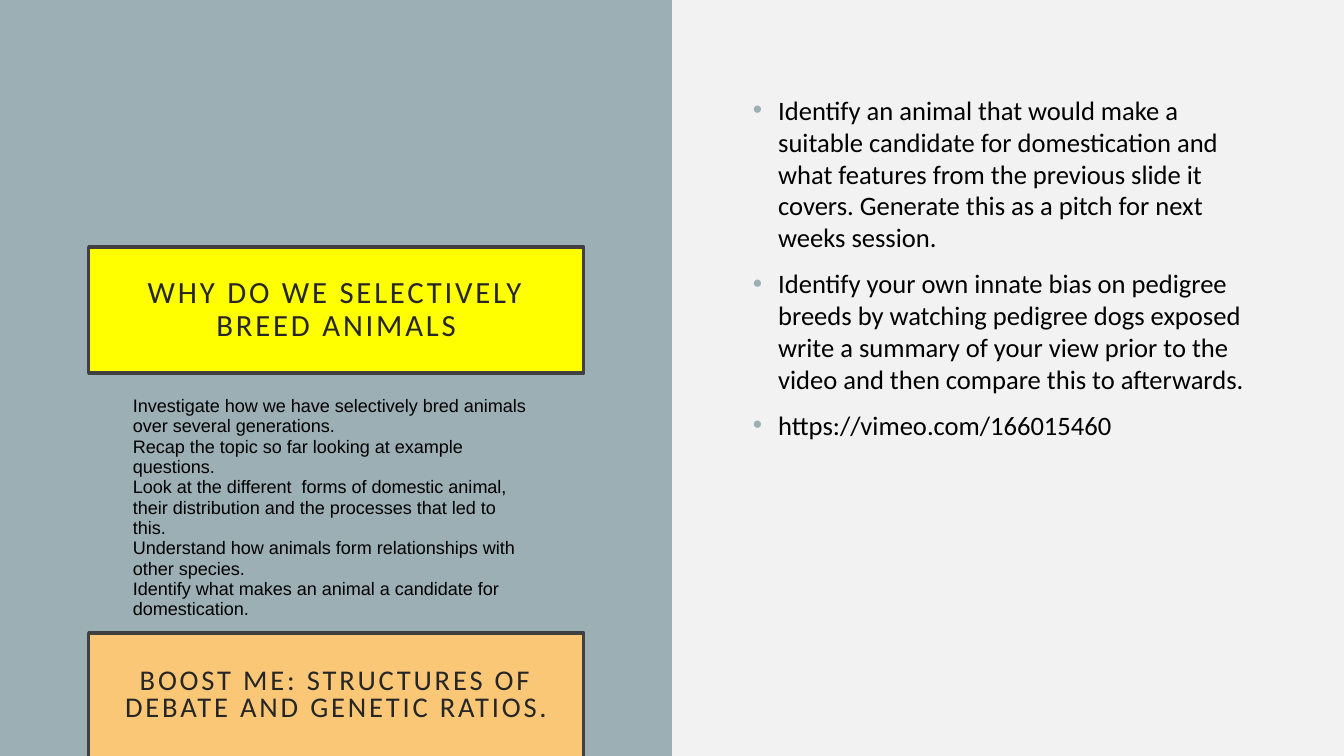
from pptx import Presentation
from pptx.dml.color import RGBColor
from pptx.enum.shapes import MSO_SHAPE as Kind
from pptx.enum.text import MSO_ANCHOR as Anchor, MSO_AUTO_SIZE as Auto, PP_ALIGN as Align
from pptx.oxml import parse_xml
from pptx.oxml.ns import nsdecls
from pptx.util import Inches, Pt

WIDE, HIGH = 13.33, 7.5
SAGE, PALE, INK, EDGE = "9BAFB5", "F2F2F2", "262626", "404040"
SIDE = (0, 0, WIDE / 2, HIGH)
CARD_X, CARD_W, CARD_H = 0.88, 4.91, 1.25

GOALS = [
    "Investigate how we have selectively bred animals over several generations.",
    "Recap the topic so far looking at example questions.",
    "Look at the different  forms of domestic animal, their distribution "
    "and the processes that led to this.",
    "Understand how animals form relationships with other species.",
    "Identify what makes an animal a candidate for domestication.",
]
TASKS = [
    "Identify an animal that would make a suitable candidate for domestication and what "
    "features from the previous slide it covers. Generate this as a pitch for next weeks session.",
    "Identify your own innate bias on pedigree breeds by watching pedigree dogs exposed "
    "write a summary of your view prior to the video and then compare this to afterwards.",
    "https://vimeo.com/166015460",
]


def color(code):
    return RGBColor.from_string(code)


def place(shape, box):
    shape.left, shape.top, shape.width, shape.height = map(Inches, box)


def paint(shape, fill, line=None):
    shape.fill.solid()
    shape.fill.fore_color.rgb = color(fill)
    if line:
        shape.line.color.rgb = color(line)
        shape.line.width = Pt(2.5)
    else:
        shape.line.fill.background()


def add_bullet(para):
    props = para._p.get_or_add_pPr()
    props.set("marL", str(Inches(0.25)))
    props.set("indent", str(-Inches(0.25)))
    ns = nsdecls("a")
    props.append(parse_xml(f'<a:buClr {ns}><a:srgbClr val="{SAGE}"/></a:buClr>'))
    props.append(parse_xml(f'<a:buFont {ns} typeface="Arial"/>'))
    props.append(parse_xml(f'<a:buChar {ns} char="•"/>'))


def write(shape, lines, size, font="Calibri", ink="000000", align=Align.LEFT,
          anchor=Anchor.TOP, inset=(0.1, 0.05), lead=1.0, gap=0, track=0, bullet=False):
    frame = shape.text_frame
    frame.word_wrap, frame.auto_size = True, Auto.NONE
    frame.vertical_anchor = anchor
    frame.margin_left = frame.margin_right = Inches(inset[0])
    frame.margin_top = frame.margin_bottom = Inches(inset[1])
    for i, line in enumerate(lines):
        para = frame.paragraphs[0] if i == 0 else frame.add_paragraph()
        para.alignment, para.line_spacing = align, lead
        para.space_before = Pt(gap if i else 0)
        if bullet:
            add_bullet(para)
        run = para.add_run()
        run.text = line
        run.font.name, run.font.size = font, Pt(size)
        run.font.color.rgb = color(ink)
        if track:
            run._r.get_or_add_rPr().set("spc", str(track * 100))


def draw_panel(slide, box):
    panel = slide.shapes.add_shape(Kind.RECTANGLE, *map(Inches, box))
    panel.shadow.inherit = False
    paint(panel, SAGE)
    # The panel lies behind the title
    slide.shapes._spTree.insert(2, panel._element)


def draw_card(card, box, text, fill, size, lead):
    place(card, box)
    paint(card, fill, EDGE)
    write(card, [text], size, ink=INK, align=Align.CENTER, anchor=Anchor.MIDDLE,
          inset=(0.2, 0.2), lead=lead, track=2)


def draw_list(slide, box, lines, size, **style):
    write(slide.shapes.add_textbox(*map(Inches, box)), lines, size, **style)


def draw_side(slide, box):
    x, y = box[0] + CARD_X, box[1]
    draw_panel(slide, box)
    # Title card
    draw_card(slide.shapes.title, (x, y + 2.45, CARD_W, CARD_H),
              "WHY DO WE SELECTIVELY BREED ANIMALS", "FFFF00", 22, 0.9)
    # Session goals
    draw_list(slide, (x + 0.34, y + 3.88, 4.15, 2.4), GOALS, 12.9, font="Arial", lead=0.94)
    # Boost card
    boost = slide.shapes.add_shape(Kind.RECTANGLE, 0, 0, 0, 0)
    boost.shadow.inherit = False
    draw_card(boost, (x, y + 6.28, CARD_W, CARD_H),
              "BOOST ME: STRUCTURES OF DEBATE AND GENETIC RATIOS.", "FAC777", 20.4, 0.8)


def main():
    deck = Presentation()
    deck.slide_width, deck.slide_height = Inches(WIDE), Inches(HIGH)
    slide = deck.slides.add_slide(deck.slide_layouts[5])
    slide.background.fill.solid()
    slide.background.fill.fore_color.rgb = color(PALE)
    draw_side(slide, SIDE)
    # Tasks on the right half
    draw_list(slide, (7.37, 0.88, 5.27, 5.74), TASKS, 19, gap=10, bullet=True)
    deck.save("out.pptx")


if __name__ == "__main__":
    main()
